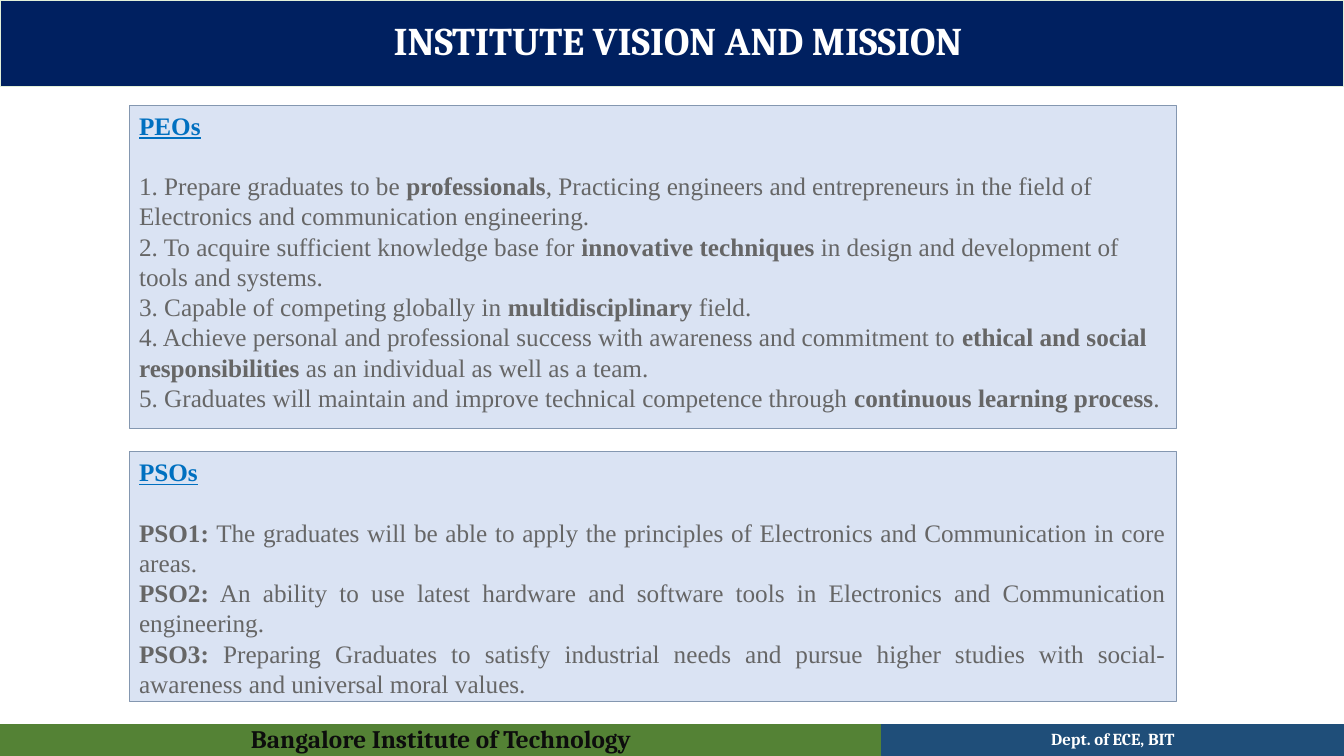
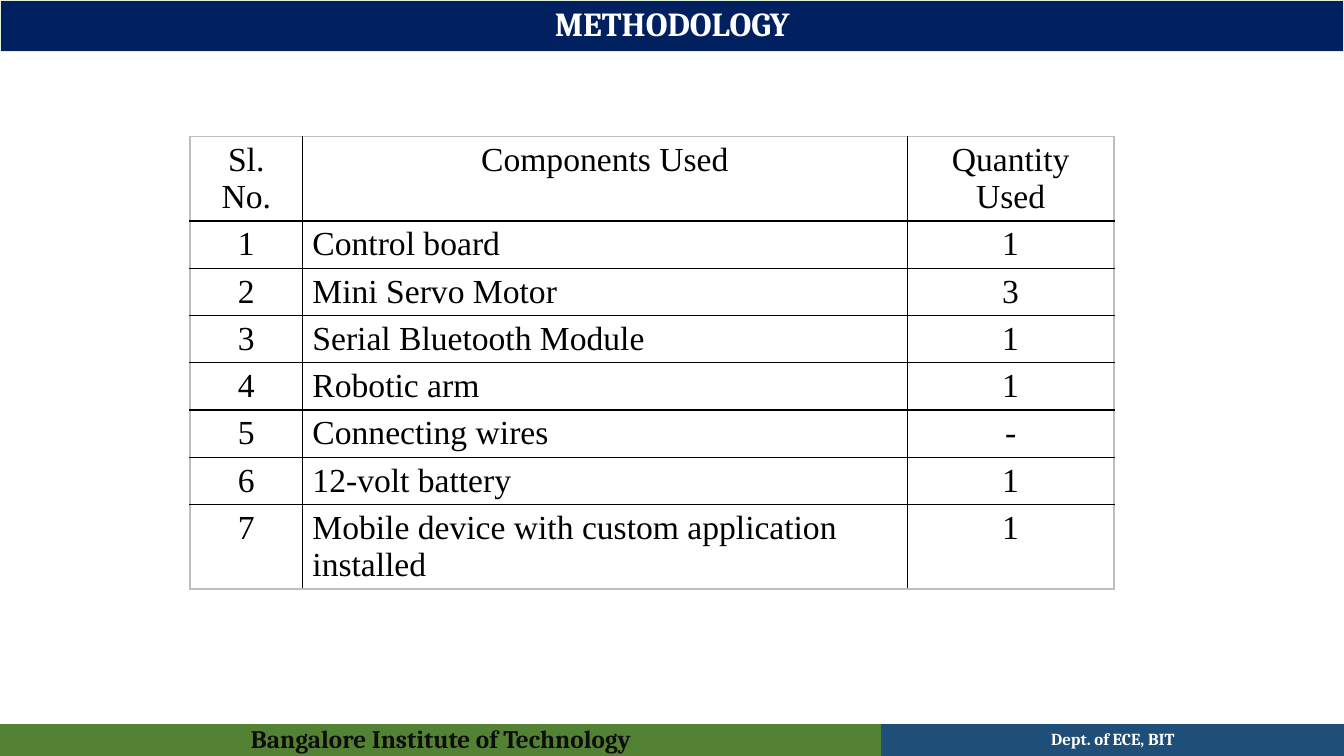
from dataclasses import dataclass

from lxml import etree
from pptx import Presentation
from pptx.dml.color import RGBColor
from pptx.enum.shapes import MSO_SHAPE
from pptx.enum.text import MSO_ANCHOR, MSO_AUTO_SIZE, PP_ALIGN
from pptx.oxml.ns import qn
from pptx.util import Pt

EMU_PER_PX = 9525
SLIDE_WIDTH, SLIDE_HEIGHT = 1280, 720
TITLE_ONLY = 5

RECTANGLE = MSO_SHAPE.RECTANGLE
LEFT, CENTER, JUSTIFY = PP_ALIGN.LEFT, PP_ALIGN.CENTER, PP_ALIGN.JUSTIFY
TOP, MIDDLE = MSO_ANCHOR.TOP, MSO_ANCHOR.MIDDLE

WHITE = RGBColor(0xFF, 0xFF, 0xFF)
BLACK = RGBColor(0x00, 0x00, 0x00)
NEAR_BLACK = RGBColor(0x0D, 0x0D, 0x0D)
NAVY = RGBColor(0x00, 0x20, 0x60)
PALE_GREEN = RGBColor(0xE2, 0xF0, 0xD9)
GREEN = RGBColor(0x54, 0x82, 0x35)
BLUE = RGBColor(0x1F, 0x4E, 0x79)
PALE_BLUE = RGBColor(0xDA, 0xE3, 0xF3)
SLATE = RGBColor(0x84, 0x97, 0xB0)
HEADING_BLUE = RGBColor(0x00, 0x70, 0xC0)
GREY = RGBColor(0x66, 0x66, 0x66)
LIGHT_GREY = RGBColor(0xBF, 0xBF, 0xBF)

DISPLAY_FONT = "Cambria"
BODY_FONT = "Times New Roman"
BODY_SIZE = 18
TABLE_SIZE = 24


@dataclass(frozen=True)
class Box:
    left: int
    top: int
    width: int
    height: int

    def emu(self) -> tuple[int, int, int, int]:
        return px(self.left), px(self.top), px(self.width), px(self.height)


@dataclass(frozen=True)
class FooterBand:
    box: Box
    text: str
    size: int
    fill: RGBColor
    color: RGBColor


@dataclass(frozen=True)
class Panel:
    """A boxed list; **double stars** in its items mark bold words."""
    box: Box
    heading: str
    items: tuple[str, ...]
    alignment: PP_ALIGN


FOOTER_BANDS = (
    FooterBand(Box(0, 690, 840, 30), "Bangalore Institute of Technology", 18, GREEN, NEAR_BLACK),
    FooterBand(Box(840, 690, 440, 30), "Dept. of ECE, BIT", 12, BLUE, WHITE),
)

PANELS = (
    Panel(Box(123, 100, 997, 308), "PEOs", (
        "1. Prepare graduates to be **professionals**, Practicing engineers and entrepreneurs "
        "in the field of Electronics and communication engineering.",
        "2. To acquire sufficient knowledge base for **innovative techniques** in design and "
        "development of tools and systems.",
        "3. Capable of competing globally in **multidisciplinary** field.",
        "4. Achieve personal and professional success with awareness and commitment to "
        "**ethical and social responsibilities** as an individual as well as a team.",
        "5. Graduates will maintain and improve technical competence through "
        "**continuous learning process**.",
    ), LEFT),
    Panel(Box(123, 430, 997, 238), "PSOs", (
        "**PSO1:** The graduates will be able to apply the principles of Electronics and "
        "Communication in core areas.",
        "**PSO2:** An ability to use latest hardware and software tools in Electronics and "
        "Communication engineering.",
        "**PSO3:** Preparing Graduates to satisfy industrial needs and pursue higher studies "
        "with social-awareness and universal moral values.",
    ), JUSTIFY),
)

TABLE_LEFT, TABLE_TOP = 181, 130
COLUMN_WIDTHS = (107, 576, 197)
COLUMN_ALIGNMENTS = (CENTER, LEFT, CENTER)
ROW_HEIGHTS = (80, 45, 45, 45, 45, 45, 45, 80)
TABLE_HEADER = ("Sl. No.", "Components Used", "Quantity Used")
COMPONENTS = (
    ("Control board", "1"),
    ("Mini Servo Motor", "3"),
    ("Serial Bluetooth Module", "1"),
    ("Robotic arm", "1"),
    ("Connecting wires", "-"),
    ("12-volt battery", "1"),
    ("Mobile device with custom application installed", "1"),
)


def px(length: int) -> int:
    return length * EMU_PER_PX


def set_font(font, name: str, size: int, color: RGBColor, bold: bool = False) -> None:
    font.name, font.size, font.bold = name, Pt(size), bold
    font.color.rgb = color


def paint(shape, fill: RGBColor, line: RGBColor, line_width: float) -> None:
    shape.fill.solid()
    shape.fill.fore_color.rgb = fill
    shape.line.color.rgb = line
    shape.line.width = Pt(line_width)


def add_rectangle(slide, box: Box, fill: RGBColor, line: RGBColor, line_width: float):
    shape = slide.shapes.add_shape(RECTANGLE, *box.emu())
    shape.shadow.inherit = False
    paint(shape, fill, line, line_width)
    return shape


def write_band(shape, text: str, size: int, color: RGBColor) -> None:
    """Write one centred bold line in the middle of a band."""
    frame = shape.text_frame
    frame.word_wrap = True
    frame.auto_size = MSO_AUTO_SIZE.NONE
    frame.vertical_anchor = MIDDLE
    frame.text = text
    paragraph = frame.paragraphs[0]
    paragraph.alignment = CENTER
    paragraph.line_spacing = 0.9
    set_font(paragraph.font, DISPLAY_FONT, size, color, bold=True)


def add_titled_slide(presentation, title: str, height: int, size: int, left_margin: int = 10):
    slide = presentation.slides.add_slide(presentation.slide_layouts[TITLE_ONLY])
    band = slide.shapes.title
    band.left, band.top, band.width, band.height = Box(0, 0, SLIDE_WIDTH, height).emu()
    paint(band, NAVY, PALE_GREEN, 0.75)
    write_band(band, title, size, WHITE)
    band.text_frame.margin_left = px(left_margin)
    for footer in FOOTER_BANDS:
        shape = add_rectangle(slide, footer.box, footer.fill, footer.fill, 0.75)
        write_band(shape, footer.text, footer.size, footer.color)
    return slide


def add_panel(slide, panel: Panel) -> None:
    frame = add_rectangle(slide, panel.box, PALE_BLUE, SLATE, 0.25).text_frame
    frame.word_wrap = True
    frame.vertical_anchor = TOP
    heading = frame.paragraphs[0]
    heading.text = panel.heading
    heading.alignment = LEFT
    heading.space_after = Pt(21.6)
    set_font(heading.font, BODY_FONT, BODY_SIZE, HEADING_BLUE, bold=True)
    heading.font.underline = True
    for item in panel.items:
        paragraph = frame.add_paragraph()
        paragraph.alignment = panel.alignment
        set_font(paragraph.font, BODY_FONT, BODY_SIZE, GREY)
        for index, part in enumerate(item.split("**")):
            if part:
                run = paragraph.add_run()
                run.text = part
                if index % 2:
                    run.font.bold = True


def add_border(cell, side: str, color: RGBColor) -> None:
    line = etree.SubElement(cell._tc.get_or_add_tcPr(), qn(f"a:ln{side}"), w=str(Pt(1)))
    fill = etree.SubElement(line, qn("a:solidFill"))
    etree.SubElement(fill, qn("a:srgbClr"), val=str(color))


def add_component_table(slide) -> None:
    rows = [TABLE_HEADER]
    rows += [(str(number), *component) for number, component in enumerate(COMPONENTS, 1)]
    box = Box(TABLE_LEFT, TABLE_TOP, sum(COLUMN_WIDTHS), sum(ROW_HEIGHTS))
    table = slide.shapes.add_table(len(rows), len(COLUMN_WIDTHS), *box.emu()).table
    table.first_row = table.horz_banding = False
    for column, width in zip(table.columns, COLUMN_WIDTHS):
        column.width = px(width)
    last_row, last_column = len(rows) - 1, len(COLUMN_WIDTHS) - 1
    for row_index, (values, height) in enumerate(zip(rows, ROW_HEIGHTS)):
        table.rows[row_index].height = px(height)
        for column_index, value in enumerate(values):
            cell = table.cell(row_index, column_index)
            outer_sides = {
                "L": column_index == 0,
                "R": column_index == last_column,
                "T": row_index == 0,
                "B": row_index == last_row,
            }
            for side, is_outer in outer_sides.items():
                add_border(cell, side, LIGHT_GREY if is_outer else BLACK)
            cell.fill.background()
            cell.text = value
            paragraph = cell.text_frame.paragraphs[0]
            paragraph.alignment = CENTER if row_index == 0 else COLUMN_ALIGNMENTS[column_index]
            set_font(paragraph.font, BODY_FONT, TABLE_SIZE, BLACK)


def main() -> None:
    presentation = Presentation()
    presentation.slide_width = px(SLIDE_WIDTH)
    presentation.slide_height = px(SLIDE_HEIGHT)

    vision = add_titled_slide(presentation, "INSTITUTE VISION AND MISSION", 82, 28, left_margin=21)
    for panel in PANELS:
        add_panel(vision, panel)

    methodology = add_titled_slide(presentation, "METHODOLOGY", 49, 24)
    add_component_table(methodology)

    presentation.save("out.pptx")


if __name__ == "__main__":
    main()
